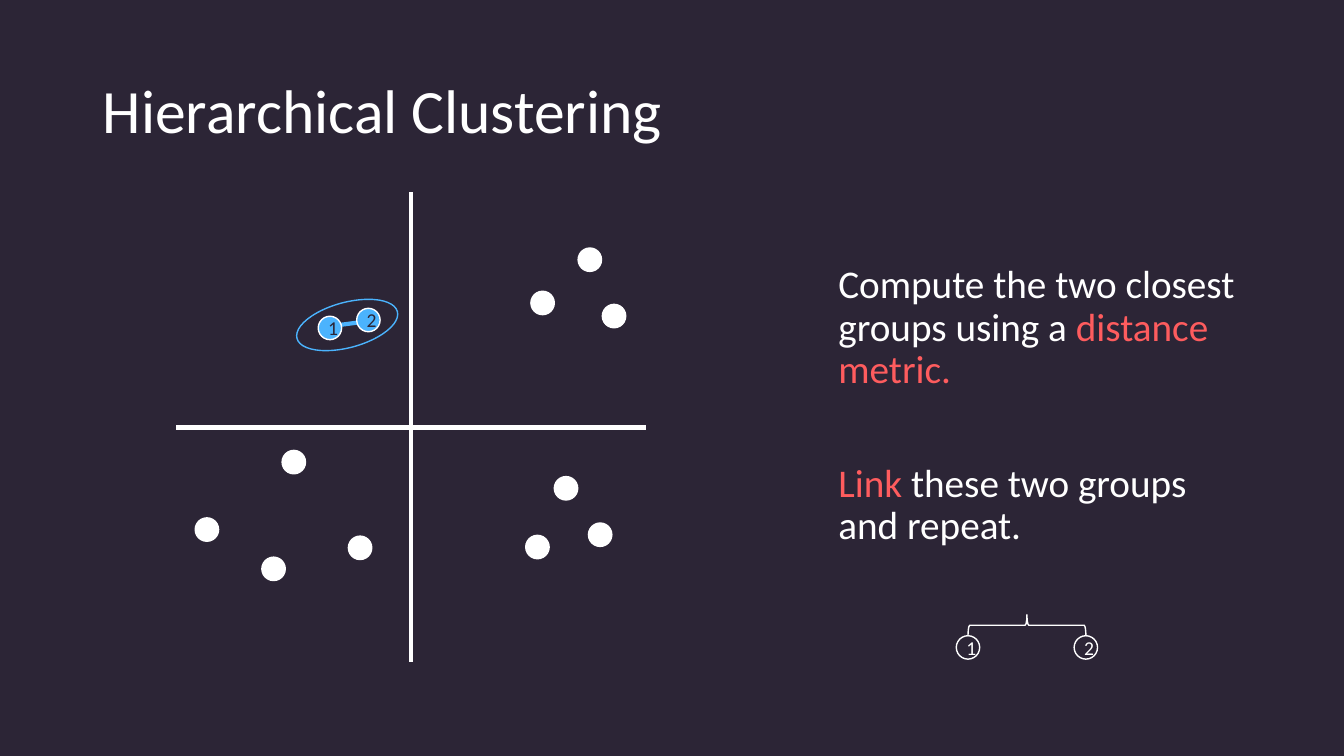
from dataclasses import dataclass
from lxml.etree import SubElement
from pptx import Presentation
from pptx.dml.color import RGBColor
from pptx.enum.shapes import MSO_CONNECTOR, MSO_SHAPE
from pptx.enum.text import MSO_ANCHOR, PP_ALIGN
from pptx.oxml.ns import qn
from pptx.util import Cm, Pt


@dataclass(frozen=True)
class Theme:
    """Colours, font and type sizes of the slide."""
    back: RGBColor = RGBColor.from_string("2C2536")
    white: RGBColor = RGBColor.from_string("FFFFFF")
    blue: RGBColor = RGBColor.from_string("4BB3FD")
    red: RGBColor = RGBColor.from_string("FE5C5E")
    font: str = "Calibri"
    title: Pt = Pt(44)
    body: Pt = Pt(28)
    label: Pt = Pt(14)
    thin: Pt = Pt(1)
    thick: Pt = Pt(3)


LOOK = Theme()
DOT = 0.59
LOOSE = [(8.94, 2.49), (10.13, 1.4), (10.74, 2.82), (8.81, 8.64), (4.34, 8.66),
         (2.67, 6.5), (0.48, 8.2), (2.16, 9.19), (9.53, 7.16), (10.39, 8.33)]
PAIR = [("1", 3.58, 3.12), ("2", 4.55, 2.92)]


def style(item, form):
    """Set every format value in the dict on the item."""
    for name, value in form.items():
        setattr(item, name, value)


def write(para, text, size, color):
    """Add one run of text to a paragraph."""
    run = para.add_run()
    run.text = text
    style(run.font, {"name": LOOK.font, "size": size})
    run.font.color.rgb = color


def draw(slide, kind, box, line, fill=None):
    """Add a flat preset shape in the box, given in centimetres."""
    shape = slide.shapes.add_shape(kind, *map(Cm, box))
    shape.shadow.inherit = False
    if fill is None:
        shape.fill.background()
    else:
        shape.fill.solid()
        shape.fill.fore_color.rgb = fill
    shape.line.color.rgb = line
    shape.line.width = LOOK.thin
    return shape


def rule(slide, ends, color):
    """Add a thick straight line between two points."""
    line = slide.shapes.add_connector(MSO_CONNECTOR.STRAIGHT, *map(Cm, ends))
    line.line.color.rgb = color
    line.line.width = LOOK.thick
    SubElement(line._element.spPr, qn("a:effectLst"))


def dot(slide, left, top, fill=None, text="", ink=None):
    """Add one data point, with a number if text is given."""
    shape = draw(slide, MSO_SHAPE.OVAL, (left, top, DOT, DOT), LOOK.white, fill)
    if text:
        frame = shape.text_frame
        frame.vertical_anchor = MSO_ANCHOR.MIDDLE
        frame.paragraphs[0].alignment = PP_ALIGN.CENTER
        write(frame.paragraphs[0], text, LOOK.label, ink)


def prose(slide, box, paras, size, form, gap=0):
    """Fill a text box with paragraphs of coloured runs."""
    frame = slide.shapes.add_textbox(*map(Cm, box)).text_frame
    style(frame, {"word_wrap": True, **form})
    for at, runs in enumerate(paras):
        para = frame.add_paragraph() if at else frame.paragraphs[0]
        style(para, {"line_spacing": 0.9, "space_before": Pt(gap if at else 0)})
        for text, color in runs:
            write(para, text, size, color)


def plot(slide, left, top, side):
    """Draw the axes, the loose points and the linked pair in a square."""
    mid = side / 2
    rule(slide, (left, top + mid, left + side, top + mid), LOOK.white)
    rule(slide, (left + mid, top, left + mid, top + side), LOOK.white)
    for x, y in LOOSE:
        dot(slide, left + x, top + y, LOOK.white)
    rule(slide, (left + 3.66, top + 3.4, left + 4.93, top + 3.23), LOOK.blue)
    for text, x, y in PAIR:
        dot(slide, left + x, top + y, LOOK.blue, text, LOOK.back)
    ring = (left + 3, top + 2.77, 2.62, 1.14)
    draw(slide, MSO_SHAPE.OVAL, ring, LOOK.blue).rotation = 345


def tree(slide, left, top, width, height):
    """Draw two numbered leaves joined by a brace above them."""
    span, rise = width - DOT, height - DOT
    for text, x in (("1", left), ("2", left + span)):
        dot(slide, x, top + rise, None, text, LOOK.white)
    box = (left + (width - rise) / 2, top + (rise - span) / 2, rise, span)
    draw(slide, MSO_SHAPE.LEFT_BRACE, box, LOOK.white).rotation = 90


def build():
    """Build the slide and save it."""
    deck = Presentation()
    style(deck, {"slide_width": Cm(33.87), "slide_height": Cm(19.05)})
    slide = deck.slides.add_slide(deck.slide_layouts[6])
    slide.background.fill.solid()
    slide.background.fill.fore_color.rgb = LOOK.back
    prose(slide, (2.34, 1.02, 29.21, 3.68),
          [[("Hierarchical Clustering", LOOK.white)]],
          LOOK.title, {"vertical_anchor": MSO_ANCHOR.MIDDLE})
    steps = [[("Compute the two closest groups using a ", LOOK.white),
              ("distance metric.", LOOK.red)],
             [("Link", LOOK.red), (" these two groups and repeat.", LOOK.white)]]
    prose(slide, (20.88, 5.11, 10.67, 12.07), steps, LOOK.body,
          {"margin_top": Cm(1.57)}, gap=51)
    plot(slide, 4.44, 4.85, 11.84)
    tree(slide, 24.1, 15.49, 3.56, 1.12)
    deck.save("out.pptx")


build()
